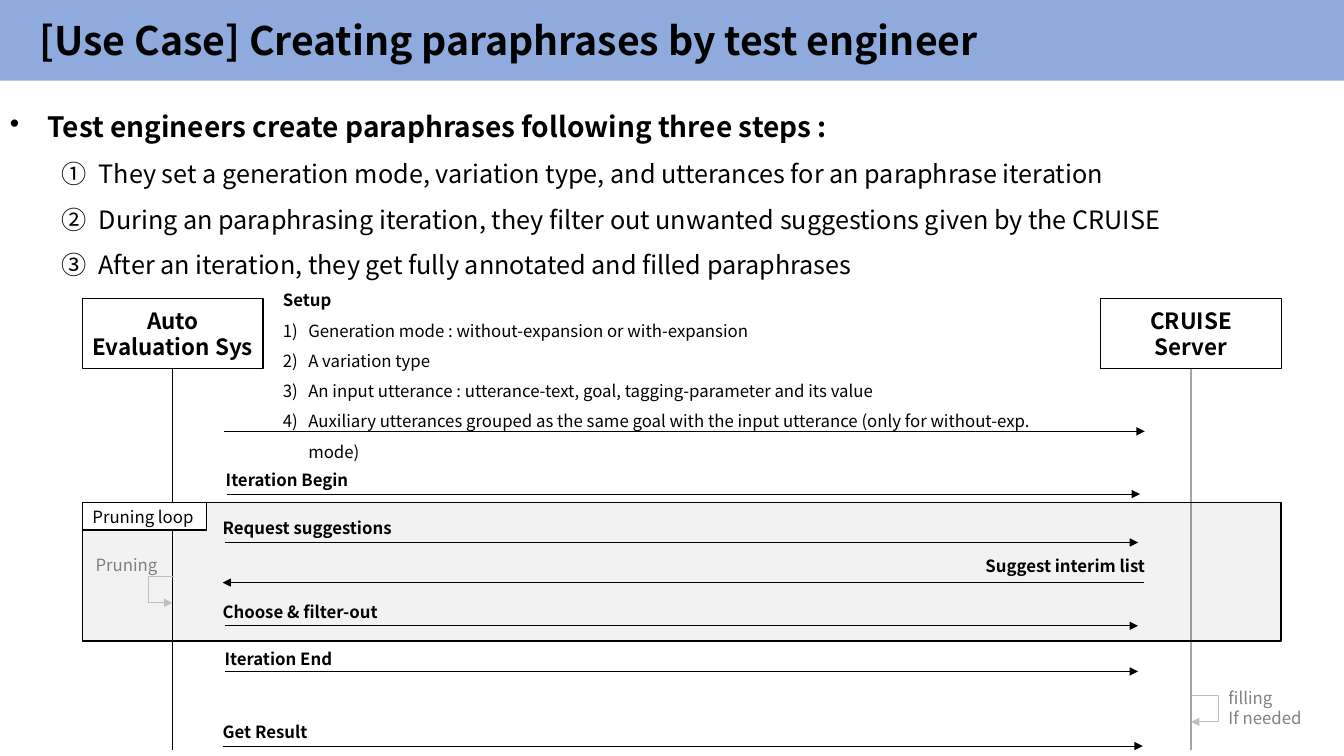
from lxml.etree import SubElement
from pptx import Presentation
from pptx.dml.color import RGBColor
from pptx.enum.shapes import MSO_CONNECTOR, MSO_SHAPE
from pptx.enum.text import MSO_ANCHOR, PP_ALIGN
from pptx.oxml.ns import qn
from pptx.util import Cm, Pt

FONT = "Noto Sans CJK KR"
COLORS = {
    "band": "8FAADC",
    "loop": "F2F2F2",
    "white": "FFFFFF",
    "black": "000000",
    "gray": "808080",
    "pale": "BFBFBF",
}
STEPS = [
    "Test engineers create paraphrases following three steps :",
    "They set a generation mode, variation type, and utterances for an paraphrase iteration",
    "During an paraphrasing iteration, they filter out unwanted suggestions given by the CRUISE",
    "After an iteration, they get fully annotated and filled paraphrases",
]
SETUP = [
    "Setup",
    "Generation mode : without-expansion or with-expansion",
    "A variation type",
    "An input utterance : utterance-text, goal, tagging-parameter and its value",
    "Auxiliary utterances grouped as the same goal with the input utterance "
    "(only for without-exp. mode)",
]
ARROWS = [
    (5.64, 28.85, 10.87),
    (5.72, 28.73, 12.45),
    (5.66, 28.68, 13.67),
    (28.83, 5.61, 14.68),
    (5.66, 28.68, 15.77),
    (5.66, 28.68, 16.92),
    (5.61, 28.8, 18.8),
]
LABELS = [
    ("Iteration Begin", 5.44, 11.58, 4.65),
    ("Request suggestions", 5.36, 12.8, 5.28),
    ("Choose & filter-out", 5.36, 14.91, 5.28),
    ("Iteration End", 5.41, 16.1, 3.43),
    ("Get Result", 5.36, 17.93, 6.96),
]


def rgb(name):
    """Return the colour with this name."""
    return RGBColor.from_string(COLORS[name])


def style(par, size, bold=False, color="black", gap=1.0, align=PP_ALIGN.LEFT):
    """Format one paragraph and its runs."""
    par.alignment = align
    par.line_spacing = gap
    par.space_before = Pt(0)
    for run in par.runs:
        font = run.font
        font.name, font.size, font.bold = FONT, Pt(size), bold
        font.color.rgb = rgb(color)


def bullet(par, left, kind, **attrs):
    """Give a paragraph a hanging bullet or number."""
    props = par._p.get_or_add_pPr()
    props.set("marL", str(Cm(left)))
    props.set("indent", str(-Cm(0.64 if left < 0.7 else 0.95)))
    SubElement(props, qn(f"a:{kind}"), **attrs)


def add_text(slide, text, x, y, w, h=0.76, anchor=MSO_ANCHOR.MIDDLE, **look):
    """Add a wrapped text box and return its paragraphs."""
    frame = slide.shapes.add_textbox(Cm(x), Cm(y), Cm(w), Cm(h)).text_frame
    frame.word_wrap = True
    frame.vertical_anchor = anchor
    frame.text = text
    for par in frame.paragraphs:
        style(par, **look)
    return frame.paragraphs


def add_box(slide, x, y, w, h, fill="white", text="", **look):
    """Add an outlined rectangle with text."""
    box = slide.shapes.add_shape(MSO_SHAPE.RECTANGLE, Cm(x), Cm(y), Cm(w), Cm(h))
    box.shadow.inherit = False
    box.fill.solid()
    box.fill.fore_color.rgb = rgb(fill)
    box.line.color.rgb = rgb("black")
    box.line.width = Pt(1)
    if text:
        box.text_frame.text = text
        box.text_frame.vertical_anchor = MSO_ANCHOR.MIDDLE
        for par in box.text_frame.paragraphs:
            style(par, **look)
    return box


def add_line(slide, x1, y1, x2, y2, color="black", head=True, kind=MSO_CONNECTOR.STRAIGHT):
    """Add a thin connector, with an arrowhead if asked."""
    line = slide.shapes.add_connector(kind, Cm(x1), Cm(y1), Cm(x2), Cm(y2))
    line.line.color.rgb = rgb(color)
    line.line.width = Pt(0.5)
    if head:
        SubElement(line.line._get_or_add_ln(), qn("a:tailEnd"), type="triangle")
    SubElement(line._element.spPr, qn("a:effectLst"))
    return line


def add_loop(slide, x, y, reach):
    """Add an arrow that leaves a lifeline and returns to it."""
    step = 0.03
    line = add_line(slide, x + step, y, x, y + 0.66, "pale", kind=MSO_CONNECTOR.ELBOW)
    geom = line._element.spPr.find(qn("a:prstGeom"))
    ratio = round(-reach / step * 100000)
    SubElement(geom.get_or_add_avLst(), qn("a:gd"), name="adj1", fmla=f"val {ratio}")


def add_title(slide, text):
    """Place the title over its colour band."""
    title = slide.shapes.title
    title.left, title.top, title.width, title.height = Cm(0), Cm(0), Cm(33.87), Cm(2.03)
    title.fill.solid()
    title.fill.fore_color.rgb = rgb("band")
    frame = title.text_frame
    frame.text = text
    frame.margin_left = Cm(1)
    frame.vertical_anchor = MSO_ANCHOR.MIDDLE
    style(frame.paragraphs[0], 28, True)


def add_steps(slide):
    """Add the heading with its three numbered steps."""
    head, *steps = add_text(slide, "\n".join(STEPS), 0, 1.8, 33.87, 5.28,
                            MSO_ANCHOR.TOP, size=18, gap=1.5)
    style(head, 20, True, gap=2.0)
    bullet(head, 0.95, "buChar", char="•")
    for par in steps:
        par.level = 1
        bullet(par, 2.24, "buAutoNum", type="circleNumDbPlain")


def add_setup(slide):
    """Add the numbered setup notes."""
    head, *notes = add_text(slide, "\n".join(SETUP), 6.88, 6.93, 20.62, 3.89,
                            MSO_ANCHOR.TOP, size=12, gap=1.5)
    style(head, 12, True, gap=1.5)
    for par in notes:
        bullet(par, 0.64, "buAutoNum", type="arabicParenR")


def add_actor(slide, x, text):
    """Add a participant with its lifeline."""
    box = add_box(slide, x, 7.52, 4.55, 1.77, text=text, size=16, bold=True,
                  align=PP_ALIGN.CENTER)
    mid = x + 4.55 / 2
    add_line(slide, mid, 9.29, mid, 18.9, head=False).begin_connect(box, 2)


def main():
    """Build the slide."""
    deck = Presentation()
    deck.slide_width, deck.slide_height = Cm(33.87), Cm(19.05)
    slide = deck.slides.add_slide(deck.slide_layouts[5])
    add_title(slide, "[Use Case] Creating paraphrases by test engineer")
    add_box(slide, 2.08, 12.67, 30.2, 3.48, "loop")
    add_steps(slide)
    add_actor(slide, 2.08, "Auto\nEvaluation Sys")
    add_actor(slide, 27.74, "CRUISE\nServer")
    add_box(slide, 2.08, 12.67, 3.12, 0.69, text="Pruning loop", size=12)
    add_setup(slide)
    for start, end, y in ARROWS:
        add_line(slide, start, y, end, y)
    for text, x, y, w in LABELS:
        add_text(slide, text, x, y, w, size=12, bold=True, gap=1.5)
    add_text(slide, "Suggest interim list", 21.87, 13.74, 7.24, size=12, bold=True,
             gap=1.5, align=PP_ALIGN.RIGHT)
    add_loop(slide, 4.35, 14.53, -0.64)
    add_text(slide, "Pruning", 2.16, 13.72, 2.16, size=12, color="gray", gap=1.5)
    add_loop(slide, 30.02, 17.53, 0.66)
    add_text(slide, "filling\nIf needed", 30.71, 17.45, 2.74, size=12, color="gray")
    deck.save("out.pptx")


if __name__ == "__main__":
    main()
